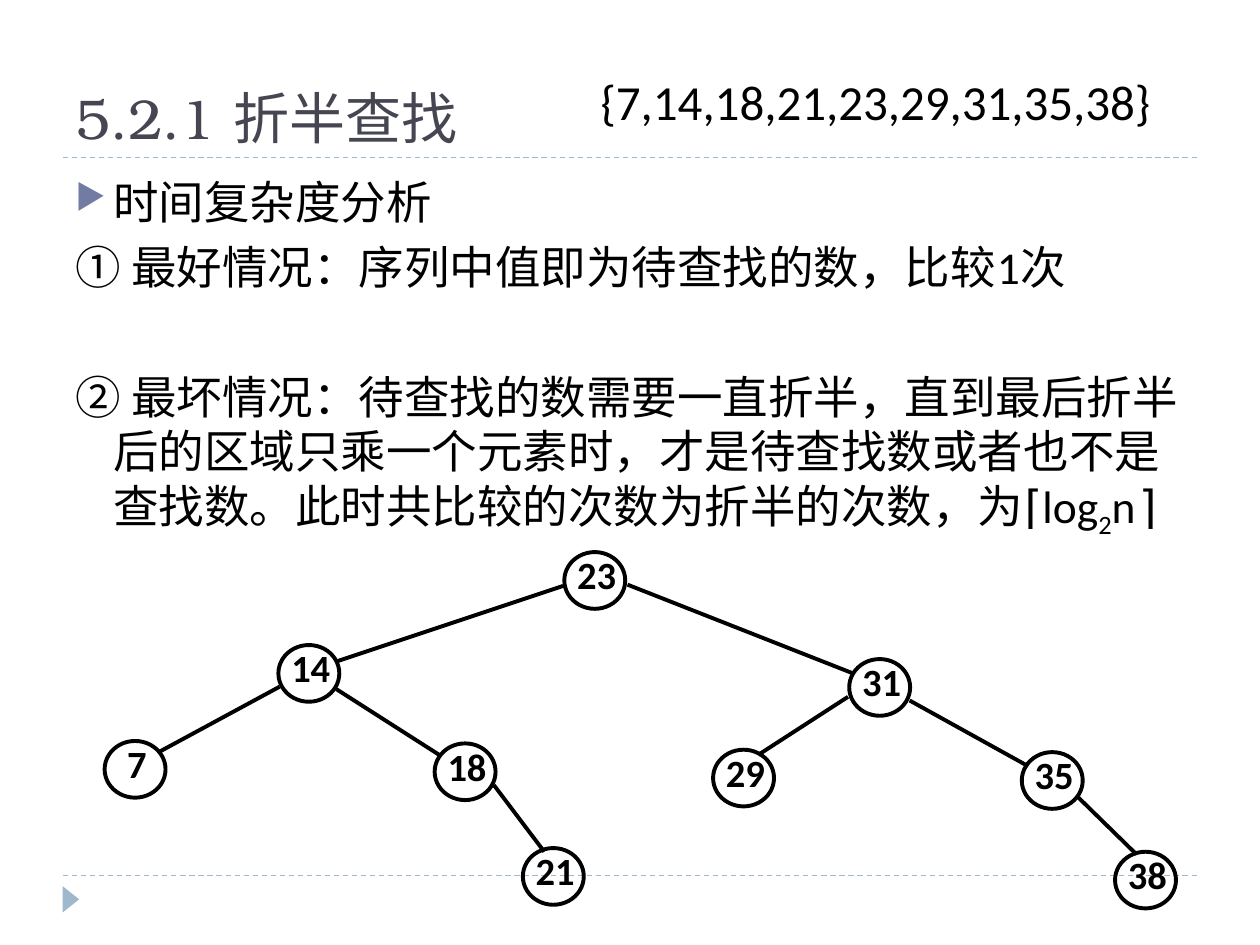
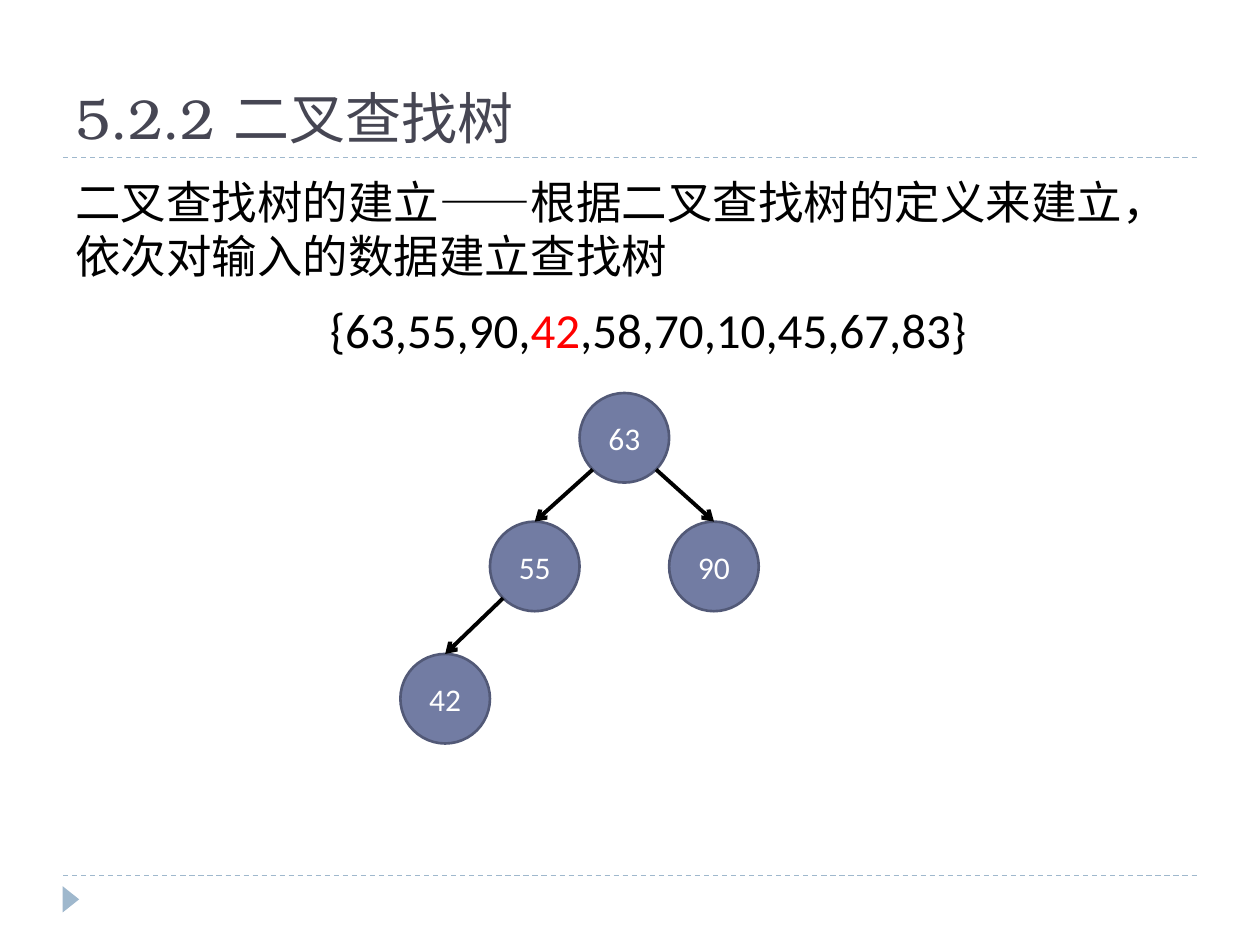
import math
from dataclasses import dataclass

import lxml.etree
import pptx
import pptx.dml.color
import pptx.enum.dml
import pptx.enum.shapes
import pptx.enum.text
import pptx.oxml.ns
import pptx.util

Pt = pptx.util.Pt
ALIGN = pptx.enum.text.PP_ALIGN
ANCHOR = pptx.enum.text.MSO_ANCHOR
SHAPE = pptx.enum.shapes.MSO_SHAPE
qn = pptx.oxml.ns.qn

COLORS = {
    "title": "464653", "text": "000000", "highlight": "FF0000",
    "accent": "727CA3", "accent_dark": "525977", "rule": "9FB8CD",
    "white": "FFFFFF",
}
BODY_FONT, TITLE_FONT, BRACKET_FONT = "Calibri", "TeX Gyre Bonum", "Courier New"
DEFAULT_INSETS = (7.2, 3.6, 7.2, 3.6)


@dataclass(frozen=True)
class TextRun:
    text: str
    size: float = 26
    color: str = "text"
    font: str = BODY_FONT
    bold: bool = False
    baseline: int = 0


@dataclass(frozen=True)
class Line:
    x1: float
    y1: float
    x2: float
    y2: float


@dataclass(frozen=True)
class NodeStyle:
    width: float
    height: float
    fill: str | None
    outline: str
    outline_width: float
    text_format: dict
    insets: tuple
    anchor: ANCHOR
    line_spacing: float
    wrap: bool


@dataclass(frozen=True)
class Node:
    value: int
    left: float
    top: float


# Halving tree: its nodes and the edges between them
HALVING_STYLE = NodeStyle(34.8, 32.4, None, "text", 2.25,
                          {"size": 22, "bold": True}, (2.2, 0, 0, 0),
                          ANCHOR.TOP, 0.8, False)
HALVING_NODES = [
    Node(23, 322.5, 315.5), Node(14, 159.1, 368.6), Node(31, 485.3, 376.6),
    Node(7, 59.8, 423.4), Node(18, 248.4, 424.8), Node(29, 407.5, 428.4),
    Node(35, 583.9, 429.8), Node(21, 298.8, 484.6), Node(38, 637.2, 486.7),
]
HALVING_EDGES = [
    Line(321.8, 334.8, 192.2, 378), Line(358.6, 334.1, 486.7, 384.5),
    Line(159.8, 392.4, 90.7, 429.8), Line(192.2, 393.8, 252, 432),
    Line(484.6, 398.2, 433.4, 431.3), Line(519.8, 400.3, 587.5, 437.8),
    Line(282.2, 448.6, 311, 486.7), Line(616.3, 455.8, 649.4, 488.2),
]

# Search tree: a child sits one diameter to the side of its parent
DIAMETER = 51.2
SEARCH_STYLE = NodeStyle(DIAMETER, DIAMETER, "accent", "accent_dark", 1.5,
                         {"size": 18, "color": "white"}, DEFAULT_INSETS,
                         ANCHOR.MIDDLE, 1.0, True)
ROOT_LEFT = 331.2
LEVEL_TOPS = (224.6, 298.1, 373.7)
SEARCH_NODES = {
    value: Node(value, ROOT_LEFT + step * DIAMETER, LEVEL_TOPS[level])
    for value, step, level in [(63, 0, 0), (55, -1, 1), (90, 1, 1), (42, -2, 2)]
}
SEARCH_EDGES = [(63, 55), (63, 90), (55, 42)]


def rgb(name: str) -> pptx.dml.color.RGBColor:
    return pptx.dml.color.RGBColor.from_string(COLORS[name])


def apply_format(target, values: dict) -> None:
    for name, value in values.items():
        setattr(target, name, value)


def set_frame(frame, insets=DEFAULT_INSETS, wrap=True, anchor=ANCHOR.TOP) -> None:
    left, top, right, bottom = map(Pt, insets)
    apply_format(frame, {
        "margin_left": left, "margin_top": top, "margin_right": right,
        "margin_bottom": bottom, "word_wrap": wrap, "vertical_anchor": anchor,
        "auto_size": pptx.enum.text.MSO_AUTO_SIZE.NONE,
    })


def write_runs(paragraph, runs: list[TextRun], **values) -> None:
    apply_format(paragraph, values)
    for item in runs:
        run = paragraph.add_run()
        run.text = item.text
        apply_format(run.font, {"size": Pt(item.size), "name": item.font,
                                "bold": item.bold})
        run.font.color.rgb = rgb(item.color)
        if item.baseline:
            run._r.get_or_add_rPr().set("baseline", str(item.baseline))


def add_text_box(slide, left, top, width, height, wrap=True):
    shape = slide.shapes.add_textbox(Pt(left), Pt(top), Pt(width), Pt(height))
    set_frame(shape.text_frame, wrap=wrap)
    return shape.text_frame


def set_hanging_indent(paragraph, indent: float) -> None:
    properties = paragraph._p.get_or_add_pPr()
    properties.set("marL", str(Pt(indent)))
    properties.set("indent", str(Pt(-indent)))


def add_bullet(paragraph) -> None:
    properties = paragraph._p.get_or_add_pPr()
    color = lxml.etree.SubElement(properties, qn("a:buClr"))
    lxml.etree.SubElement(color, qn("a:srgbClr"), val=COLORS["accent"])
    lxml.etree.SubElement(properties, qn("a:buSzPct"), val="76000")
    lxml.etree.SubElement(properties, qn("a:buChar"), char="▶")


def add_line(slide, line: Line, color="text", width=2.25, dashed=False,
             arrow=False):
    connector = slide.shapes.add_connector(
        pptx.enum.shapes.MSO_CONNECTOR.STRAIGHT,
        Pt(line.x1), Pt(line.y1), Pt(line.x2), Pt(line.y2))
    connector.line.color.rgb = rgb(color)
    connector.line.width = Pt(width)
    if dashed:
        connector.line.dash_style = pptx.enum.dml.MSO_LINE.DASH
    if arrow:
        lxml.etree.SubElement(connector.line._get_or_add_ln(),
                              qn("a:tailEnd"), type="arrow")
    lxml.etree.SubElement(connector._element.spPr, qn("a:effectLst"))
    return connector


def add_node(slide, node: Node, style: NodeStyle):
    shape = slide.shapes.add_shape(SHAPE.OVAL, Pt(node.left), Pt(node.top),
                                   Pt(style.width), Pt(style.height))
    shape.shadow.inherit = False
    if style.fill:
        shape.fill.solid()
        shape.fill.fore_color.rgb = rgb(style.fill)
    else:
        shape.fill.background()
    shape.line.color.rgb = rgb(style.outline)
    shape.line.width = Pt(style.outline_width)
    set_frame(shape.text_frame, style.insets, style.wrap, style.anchor)
    write_runs(shape.text_frame.paragraphs[0],
               [TextRun(str(node.value), **style.text_format)],
               alignment=ALIGN.CENTER, line_spacing=style.line_spacing)
    return shape


def add_titled_slide(presentation, title: str):
    slide = presentation.slides.add_slide(presentation.slide_layouts[5])
    # Dashed rules and corner marker
    for y in (500.4, 90):
        add_line(slide, Line(36, y, 684, y), "rule", 0.75, dashed=True)
    marker = slide.shapes.add_shape(SHAPE.ISOSCELES_TRIANGLE,
                                    Pt(33), Pt(509.2), Pt(15), Pt(9.4))
    marker.rotation = 90
    marker.shadow.inherit = False
    marker.fill.solid()
    marker.fill.fore_color.rgb = rgb("rule")
    marker.line.fill.background()
    # Title
    placeholder = slide.shapes.title
    apply_format(placeholder, {"left": Pt(36), "top": Pt(12.2),
                               "width": Pt(648), "height": Pt(77.8)})
    set_frame(placeholder.text_frame, anchor=ANCHOR.BOTTOM)
    write_runs(placeholder.text_frame.paragraphs[0],
               [TextRun(title, 32, "title", TITLE_FONT)], alignment=ALIGN.LEFT)
    return slide


def add_body(slide):
    return add_text_box(slide, 36, 95.8, 648, 388.8)


def build_halving_slide(presentation) -> None:
    slide = add_titled_slide(presentation, "5.2.1 折半查找")

    # Complexity analysis: (space before, runs)
    points = [
        (0, [TextRun("时间复杂度分析")]),
        (6, [TextRun("① 最好情况：序列中值即为待查找的数，比较1次")]),
        (43, [TextRun("② 最坏情况：待查找的数需要一直折半，直到最后折半后的区域只乘一个"
                      "元素时，才是待查找数或者也不是查找数。此时共比较的次数为折半的次数，为"),
              TextRun("⌈", font=BRACKET_FONT), TextRun("log"),
              TextRun("2", baseline=-25000), TextRun("n"),
              TextRun("⌉", font=BRACKET_FONT)]),
    ]
    frame = add_body(slide)
    for index, (space, runs) in enumerate(points):
        paragraph = frame.add_paragraph() if index else frame.paragraphs[0]
        set_hanging_indent(paragraph, 21.6)
        if index == 0:
            add_bullet(paragraph)
        write_runs(paragraph, runs, space_before=Pt(space))

    # Tree
    for edge in HALVING_EDGES:
        add_line(slide, edge)
    for node in HALVING_NODES:
        add_node(slide, node, HALVING_STYLE)

    # Sorted sequence
    sequence = add_text_box(slide, 336.2, 37.4, 328.3, 41, wrap=False)
    write_runs(sequence.paragraphs[0],
               [TextRun("{7,14,18,21,23,29,31,35,38}", 28)],
               alignment=ALIGN.CENTER)


def build_search_tree_slide(presentation) -> None:
    slide = add_titled_slide(presentation, "5.2.2 二叉查找树")
    write_runs(add_body(slide).paragraphs[0], [TextRun(
        "二叉查找树的建立——根据二叉查找树的定义来建立，依次对输入的数据建立查找树")])

    # Input sequence with the current number highlighted
    sequence = add_text_box(slide, 181.4, 167.8, 378, 41, wrap=False)
    write_runs(sequence.paragraphs[0], [
        TextRun("{63,55,90,", 28), TextRun("42", 28, "highlight"),
        TextRun(",58,70,10,45,67,83}", 28)], alignment=ALIGN.LEFT)

    # Tree: arrows leave the parent at 45° and end on top of the child
    shapes = {value: add_node(slide, node, SEARCH_STYLE)
              for value, node in SEARCH_NODES.items()}
    radius = DIAMETER / 2
    reach = radius * math.sqrt(0.5)
    for parent_value, child_value in SEARCH_EDGES:
        parent, child = SEARCH_NODES[parent_value], SEARCH_NODES[child_value]
        side = math.copysign(reach, child.left - parent.left)
        arrow = add_line(slide, Line(parent.left + radius + side,
                                     parent.top + radius + reach,
                                     child.left + radius, child.top), arrow=True)
        arrow.end_connect(shapes[child_value], 0)


def main() -> None:
    presentation = pptx.Presentation()
    presentation.slide_width = Pt(720)
    presentation.slide_height = Pt(540)
    build_halving_slide(presentation)
    build_search_tree_slide(presentation)
    presentation.save("out.pptx")


if __name__ == "__main__":
    main()
